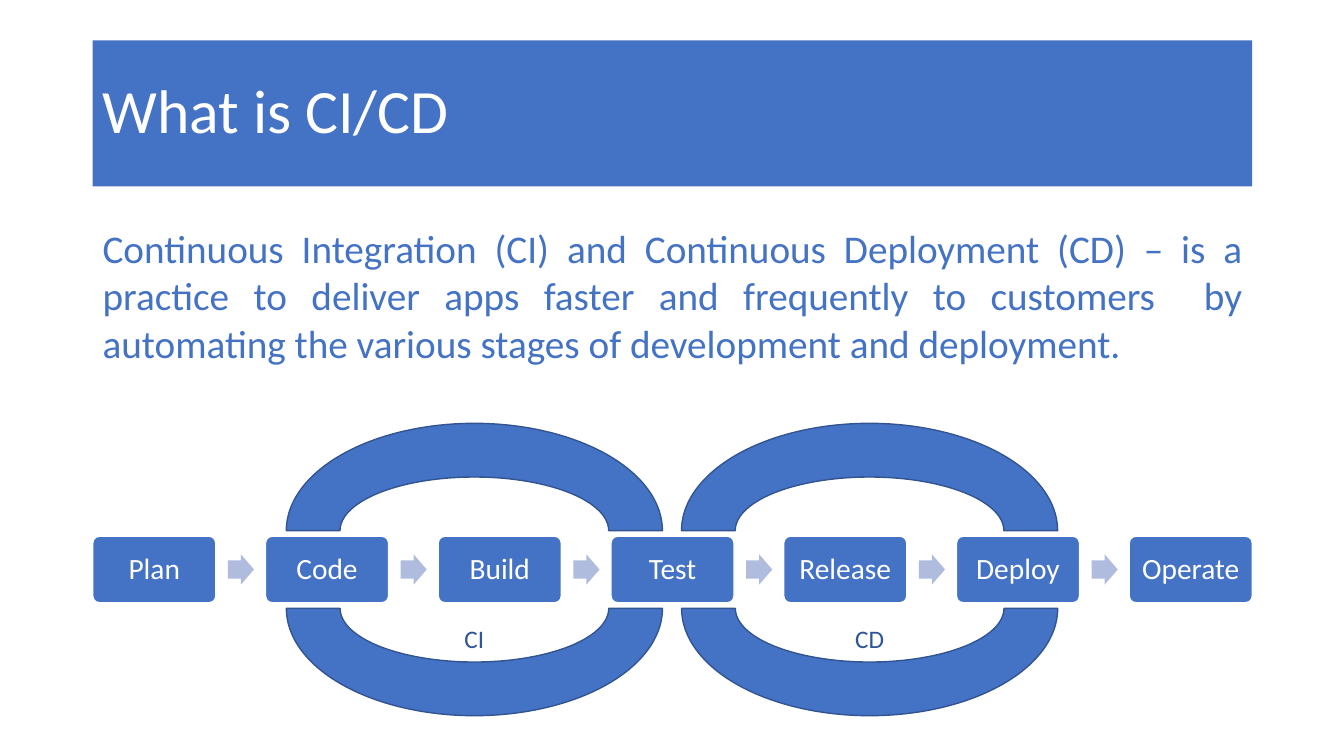
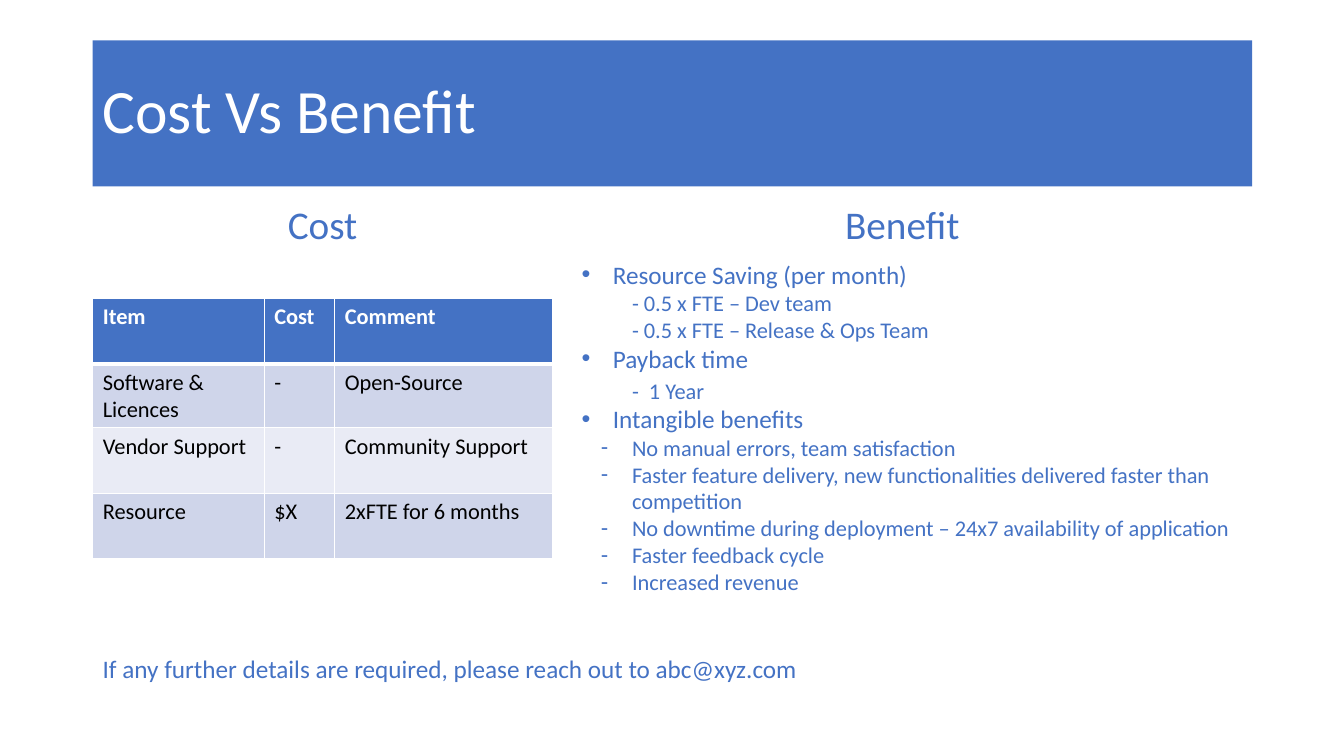
from dataclasses import dataclass
from typing import Optional

from lxml.etree import SubElement
from pptx import Presentation
from pptx.dml.color import RGBColor
from pptx.enum.shapes import MSO_SHAPE
from pptx.enum.text import MSO_ANCHOR, PP_ALIGN
from pptx.oxml.ns import qn
from pptx.util import Inches, Pt

FONT = "Calibri"
BLUE, DARK, PALE = "4472C4", "2F5597", "B0BCDE"
EDGE, WHITE, BLACK = "325491", "FFFFFF", "000000"
BANDS = ("CFD5EA", "E9EBF5")
LEFT, WIDTH = 0.92, 11.5


@dataclass
class Box:
    left: float
    top: float
    width: float
    height: float

    def sizes(self) -> tuple:
        return tuple(Inches(n) for n in (self.left, self.top, self.width, self.height))


@dataclass
class Run:
    text: str
    size: float = 18
    color: str = BLUE
    bold: bool = False


@dataclass
class Para:
    runs: list[Run]
    align: PP_ALIGN = PP_ALIGN.LEFT
    line: Optional[float] = None
    before: float = 0
    margin: float = 0
    hang: float = 0
    mark: str = ""


def rgb(color: str) -> RGBColor:
    return RGBColor.from_string(color)


def write(frame, paras: list[Para]) -> None:
    frame.word_wrap = True
    for i, para in enumerate(paras):
        p = frame.add_paragraph() if i else frame.paragraphs[0]
        p.alignment = para.align
        if para.line:
            p.line_spacing = para.line
        if para.before:
            p.space_before = Pt(para.before)
        props = p._p.get_or_add_pPr()
        props.set("marL", str(int(Inches(para.margin))))
        props.set("indent", str(int(Inches(-para.hang))))
        if para.mark:
            SubElement(props, qn("a:buFont")).set("typeface", "Arial")
            SubElement(props, qn("a:buChar")).set("char", para.mark)
        for run in para.runs:
            r = p.add_run()
            r.text = run.text
            r.font.name = FONT
            r.font.size = Pt(run.size)
            r.font.bold = run.bold
            r.font.color.rgb = rgb(run.color)


def add_text(slide, box: Box, paras: list[Para]) -> None:
    write(slide.shapes.add_textbox(*box.sizes()).text_frame, paras)


def add_shape(slide, kind: MSO_SHAPE, box: Box, fill: str, edge: str = ""):
    shape = slide.shapes.add_shape(kind, *box.sizes())
    shape.shadow.inherit = False
    shape.fill.solid()
    shape.fill.fore_color.rgb = rgb(fill)
    if edge:
        shape.line.color.rgb = rgb(edge)
        shape.line.width = Pt(1)
    else:
        shape.line.fill.background()
    return shape


def add_slide(deck, title: str):
    """Add a blank slide with the blue title band."""
    slide = deck.slides.add_slide(deck.slide_layouts[6])
    band = add_shape(slide, MSO_SHAPE.RECTANGLE, Box(LEFT, 0.4, WIDTH, 1.45), BLUE)
    band.text_frame.vertical_anchor = MSO_ANCHOR.MIDDLE
    write(band.text_frame, [Para([Run(title, 44, WHITE)], line=0.9)])
    return slide


def add_steps(slide, names: list[str]) -> None:
    """Spread the steps over the content width, with an arrow in each gap."""
    wide, high, top = 1.22, 0.66, 5.32
    pitch = (WIDTH - wide) / (len(names) - 1)
    for i, name in enumerate(names):
        left = LEFT + i * pitch
        step = add_shape(slide, MSO_SHAPE.ROUNDED_RECTANGLE,
                         Box(left, top, wide, high), BLUE, WHITE)
        step.adjustments[0] = 0.1
        frame = step.text_frame
        frame.margin_left = frame.margin_right = Inches(0.05)
        frame.vertical_anchor = MSO_ANCHOR.MIDDLE
        write(frame, [Para([Run(name, 21, WHITE)], PP_ALIGN.CENTER, 0.9)])
        if i < len(names) - 1:
            arrow = add_shape(slide, MSO_SHAPE.RIGHT_ARROW,
                              Box(left + 1.34, top + 0.18, 0.26, 0.3), PALE)
            arrow.adjustments[0] = 0.6


def add_loop(slide, left: float, name: str) -> None:
    """Draw two facing arcs with a label between them."""
    for top, turn in ((4.2, 0), (4.97, 180)):
        arc = add_shape(slide, MSO_SHAPE.BLOCK_ARC, Box(left, top, 3.73, 2.13), BLUE, EDGE)
        arc.rotation = turn
    add_text(slide, Box(left + 1.02, 6.13, 1.69, 0.4),
             [Para([Run(name, 18, DARK)], PP_ALIGN.CENTER)])


def set_edge(cell, side: str, width: float) -> None:
    line = SubElement(cell._tc.get_or_add_tcPr(), qn(f"a:ln{side}"), w=str(int(Pt(width))))
    fill = SubElement(line, qn("a:solidFill"))
    SubElement(fill, qn("a:srgbClr"), val=WHITE)


def add_grid(slide, box: Box, wides: list[float], highs: list[float],
             rows: list[tuple]) -> None:
    table = slide.shapes.add_table(len(rows), len(wides), *box.sizes()).table
    for col, wide in zip(table.columns, wides):
        col.width = Inches(wide)
    for y, (high, texts) in enumerate(zip(highs, rows)):
        table.rows[y].height = Inches(high)
        head = y == 0
        for x, text in enumerate(texts):
            cell = table.cell(y, x)
            edges = {"L": 1, "R": 1, "T": 3 if y == 1 else 1, "B": 3 if head else 1}
            for side, width in edges.items():
                set_edge(cell, side, width)
            cell.fill.solid()
            cell.fill.fore_color.rgb = rgb(BLUE if head else BANDS[(y - 1) % 2])
            write(cell.text_frame, [Para([Run(text, 16, WHITE if head else BLACK, head)])])


def point(text: str) -> Para:
    return Para([Run(text)], margin=0.31, hang=0.31, mark="•")


def plain(text: str, before: float = 0) -> Para:
    return Para([Run(text, 16)], margin=0.5, before=before)


def dash(text: str) -> Para:
    return Para([Run(text, 16)], margin=0.5, hang=0.31, mark="-")


def build_intro(deck) -> None:
    slide = add_slide(deck, "What is CI/CD")
    add_steps(slide, ["Plan", "Code", "Build", "Test", "Release", "Deploy", "Operate"])
    for left, name in ((2.84, "CI"), (6.76, "CD")):
        add_loop(slide, left, name)
    text = ("Continuous Integration (CI) and Continuous Deployment (CD) – is a practice "
            "to deliver apps faster and frequently to customers  by automating the "
            "various stages of development and deployment.")
    add_text(slide, Box(LEFT, 2.18, WIDTH, 1.51), [Para([Run(text, 28)], PP_ALIGN.JUSTIFY)])


def build_costs(deck) -> None:
    slide = add_slide(deck, "Cost Vs Benefit")
    add_grid(slide, Box(LEFT, 2.96, 4.56, 2.58), [1.7, 0.7, 2.16], [0.65, 0.63, 0.65, 0.65], [
        ("Item", "Cost", "Comment"),
        ("Software & Licences", "-", "Open-Source"),
        ("Vendor Support", "-", "Community Support"),
        ("Resource", "$X", "2xFTE for 6 months"),
    ])
    for left, wide, name in ((LEFT, 4.56, "Cost"), (5.48, 6.94, "Benefit")):
        add_text(slide, Box(left, 1.99, wide, 0.53),
                 [Para([Run(name, 28)], PP_ALIGN.CENTER, 0.9, 10)])
    add_text(slide, Box(5.67, 2.52, 6.69, 3.47), [
        point("Resource Saving (per month)"),
        plain("- 0.5 x FTE – Dev team"),
        plain("- 0.5 x FTE – Release & Ops Team"),
        point("Payback time"),
        plain("-  1 Year", 2.5),
        point("Intangible benefits"),
        dash("No manual errors, team satisfaction"),
        dash("Faster feature delivery, new functionalities delivered faster than competition"),
        dash("No downtime during deployment – 24x7 availability of application"),
        dash("Faster feedback cycle"),
        dash("Increased revenue"),
    ])
    add_text(slide, Box(LEFT, 6.43, WIDTH, 0.4), [
        Para([Run("If any further details are required, please reach out to abc@xyz.com")])])


def main() -> None:
    deck = Presentation()
    deck.slide_width, deck.slide_height = Inches(13.33), Inches(7.5)
    build_intro(deck)
    build_costs(deck)
    deck.save("out.pptx")


if __name__ == "__main__":
    main()
